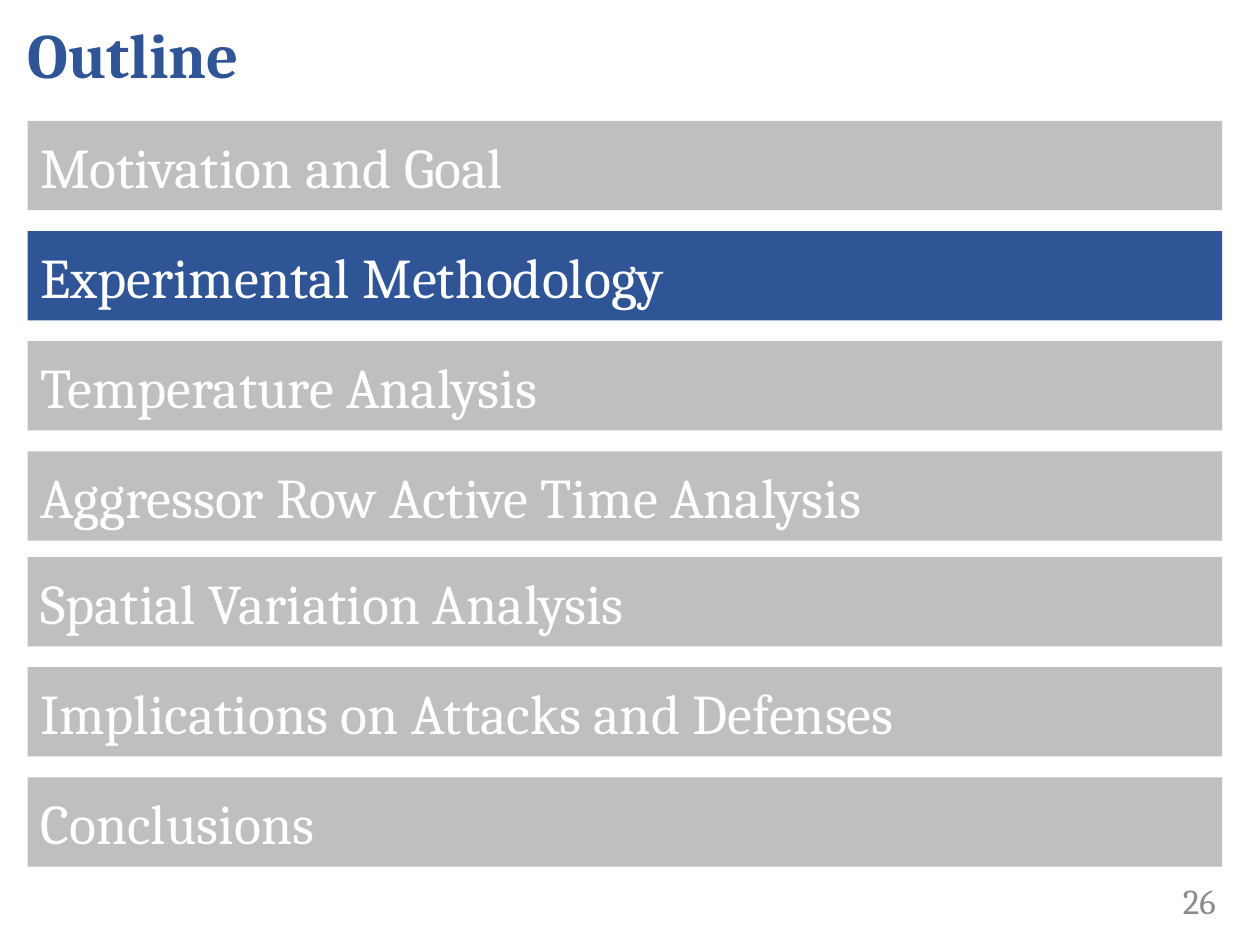
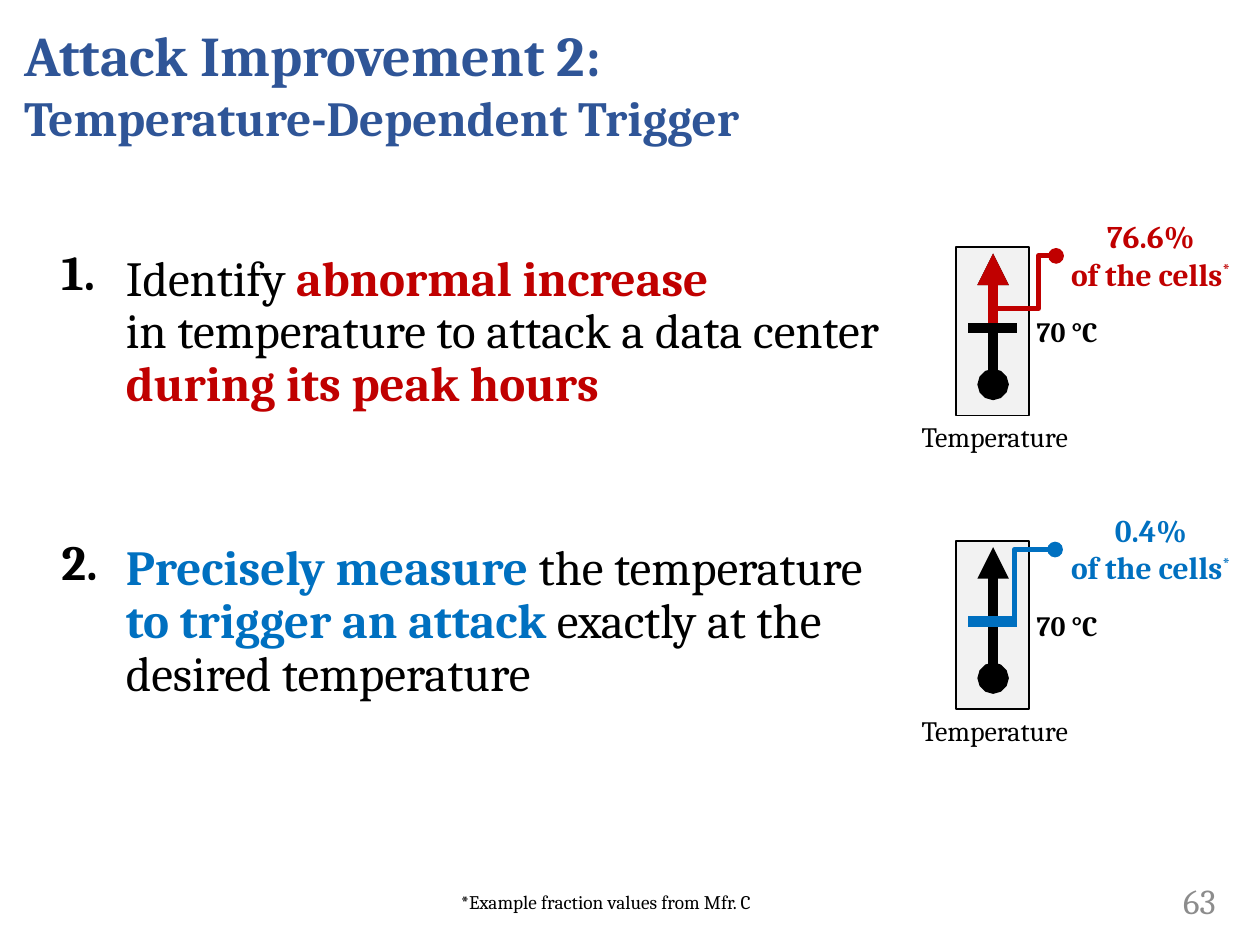
import pptx
import pptx.dml.color
import pptx.enum.shapes
import pptx.enum.text
import pptx.oxml
import pptx.oxml.ns
import pptx.util

Cm = pptx.util.Cm
Pt = pptx.util.Pt
ANCHOR = pptx.enum.text.MSO_ANCHOR
ALIGN = pptx.enum.text.PP_ALIGN

FONT = "Cambria"
NAVY, RED, BLUE = "2F5597", "C00000", "0070C0"
BLACK, WHITE = "000000", "FFFFFF"
BAR_GREY, GAUGE_GREY, NUMBER_GREY = "BFBFBF", "F2F2F2", "8C8C8C"


def colour(hex_text):
    return pptx.dml.color.RGBColor.from_string(hex_text)


def drawing_element(tag, **values):
    element = pptx.oxml.parse_xml(f"<a:{tag} {pptx.oxml.ns.nsdecls('a')}/>")
    for name, value in values.items():
        element.set(name, value)
    return element


def apply_format(target, values):
    for name, value in values.items():
        setattr(target, name, value)


class DeckBuilder:
    """Holds the deck, its style and the page being filled; lengths are in cm."""

    def __init__(self):
        self.deck = pptx.Presentation()
        self.deck.slide_width, self.deck.slide_height = Cm(25.4), Cm(19.05)
        self.page = None

    def new_page(self, number):
        self.page = self.deck.slides.add_slide(self.deck.slide_layouts[5])
        self.text((22.02, 17.65, 2.74, 1.02), [[(str(number), {"color": NUMBER_GREY})]],
                  size=20, align=ALIGN.RIGHT, anchor=ANCHOR.MIDDLE)

    def fill_frame(self, frame, paragraphs, size, color=BLACK, bold=False,
                   align=ALIGN.LEFT, anchor=ANCHOR.TOP, wrap=True, spacing=1.0):
        """Fill a frame; each paragraph is a list of (text, changes) spans."""
        apply_format(frame, {"auto_size": pptx.enum.text.MSO_AUTO_SIZE.NONE,
                             "word_wrap": wrap, "vertical_anchor": anchor})
        for index, spans in enumerate(paragraphs):
            para = frame.add_paragraph() if index else frame.paragraphs[0]
            apply_format(para, {"alignment": align, "line_spacing": spacing,
                                "space_before": Pt(0)})
            for words, changes in spans:
                style = {"size": size, "color": color, "bold": bold, **changes}
                for line_number, line in enumerate(words.split("\n")):
                    if line_number:
                        para.add_line_break()
                    if line:
                        self.span(para, line, style)

    def span(self, para, words, style):
        span = para.add_run()
        span.text = words
        apply_format(span.font, {"name": FONT, "size": Pt(style["size"]),
                                 "bold": style["bold"]})
        span.font.color.rgb = colour(style["color"])
        if "baseline" in style:
            span.font._element.set("baseline", style["baseline"])

    def title(self, place, spans):
        box = self.page.shapes.title
        names = ("left", "top", "width", "height")
        apply_format(box, dict(zip(names, map(Cm, place))))
        self.fill_frame(box.text_frame, [spans], size=36, color=NAVY, bold=True,
                        anchor=ANCHOR.MIDDLE)

    def text(self, place, paragraphs, **style):
        box = self.page.shapes.add_textbox(*map(Cm, place))
        self.fill_frame(box.text_frame, paragraphs, **style)

    def rectangle(self, place, fill, outline=None):
        box = self.page.shapes.add_shape(
            pptx.enum.shapes.MSO_SHAPE.RECTANGLE, *map(Cm, place))
        box.shadow.inherit = False
        box.fill.solid()
        box.fill.fore_color.rgb = colour(fill)
        if outline:
            box.line.color.rgb = colour(outline)
            box.line.width = Pt(1)
        else:
            box.line.fill.background()
        return box

    def bar(self, place, words, fill):
        box = self.rectangle(place, fill)
        self.fill_frame(box.text_frame, [[(words, {})]], size=32, color=WHITE,
                        anchor=ANCHOR.MIDDLE)

    def line(self, start, end, color, width, head=None, tail=None, bend=None):
        """Draw a line, or an elbow that turns at the given share of its width."""
        kinds = pptx.enum.shapes.MSO_CONNECTOR
        kind = kinds.STRAIGHT if bend is None else kinds.ELBOW
        connector = self.page.shapes.add_connector(kind, *map(Cm, start + end))
        connector.line.color.rgb = colour(color)
        connector.line.width = Pt(width)
        outline = connector.line._get_or_add_ln()
        for tag, ending in (("headEnd", head), ("tailEnd", tail)):
            if ending:
                outline.append(drawing_element(tag, type=ending))
        properties = connector._element.spPr
        properties.append(drawing_element("effectLst"))
        if bend is not None:
            guides = properties.find(pptx.oxml.ns.qn("a:prstGeom")).get_or_add_avLst()
            guides.append(drawing_element("gd", name="adj1",
                                          fmla=f"val {round(bend * 100000)}"))

    def gauge(self, top, share, color):
        """Draw a thermometer with its 70 °C label and the share of cells."""
        middle = 20.02
        self.rectangle((19.28, top, 1.47, 3.4), GAUGE_GREY, outline=BLACK)
        self.line((middle, top + 2.77), (middle, top + 0.13), BLACK, 6,
                  head="oval", tail="triangle")
        self.text((17.96, top + 3.35, 4.19, 0.94), [[("Temperature", {})]],
                  size=16, align=ALIGN.CENTER)
        self.text((20.65, top + 1.24, 1.88, 0.94), [[("70 °C", {})]],
                  size=16, bold=True, wrap=False)
        self.text((21.27, top - 0.73, 3.86, 1.8),
                  [[(share, {})], [("of the cells", {}), ("*", {"baseline": "30000"})]],
                  size=18, color=color, bold=True, align=ALIGN.CENTER)

    def gauge_mark(self, top, color):
        self.line((20.5, top + 1.63), (19.51, top + 1.63), color, 6)


def outline_page(builder):
    builder.new_page(26)
    builder.title((0.3, 0, 24.66, 2.13), [("Outline", {})])
    current = "Experimental Methodology"
    blocks = (
        (2.44, ("Motivation and Goal", current, "Temperature Analysis",
                "Aggressor Row Active Time Analysis")),
        (11.23, ("Spatial Variation Analysis", "Implications on Attacks and Defenses",
                 "Conclusions")),
    )
    for first_top, topics in blocks:
        for index, topic in enumerate(topics):
            builder.bar((0.56, first_top + 2.22 * index, 24.08, 1.8), topic,
                        NAVY if topic == current else BAR_GREY)


def trigger_page(builder):
    builder.new_page(63)
    builder.title((0.23, 0.61, 24.43, 2.13),
                  [("Attack Improvement 2:\n", {"size": 32}),
                   ("Temperature-Dependent Trigger", {"size": 28})])
    red, blue = ({"color": shade, "bold": True} for shade in (RED, BLUE))
    ideas = (
        [("Identify ", {}), ("abnormal increase\n", red),
         ("in temperature to attack a data center ", {}),
         ("during its peak hours", red)],
        [("Precisely measure ", blue), ("the temperature\n", {}),
         ("to trigger an attack ", blue), ("exactly at the desired temperature", {})],
    )
    for index, spans in enumerate(ideas):
        top = 4.75 + 5.84 * index
        builder.text((0.99, top, 1.35, 1.45), [[(f"{index + 1}.", {})]],
                     size=28, bold=True, wrap=False)
        builder.text((2.29, top + 0.24, 16.8, 3.6), [spans], size=28, spacing=0.9)

    rise_top, exact_top = 4.98, 10.9
    builder.gauge(rise_top, "76.6%", RED)
    builder.line((20.02, rise_top + 1.6), (20.02, rise_top + 0.13), RED, 6,
                 tail="triangle")
    builder.line((20.02, rise_top + 1.24), (21.29, rise_top + 0.18), RED, 3,
                 tail="oval", bend=0.72)
    builder.gauge_mark(rise_top, BLACK)

    builder.gauge(exact_top, "0.4%", BLUE)
    builder.line((20.45, exact_top + 1.63), (21.27, exact_top + 0.18), BLUE, 3,
                 tail="oval", bend=0)
    builder.gauge_mark(exact_top, BLACK)
    builder.gauge_mark(exact_top, BLUE)
    builder.text((9.04, 17.83, 6.81, 0.74),
                 [[("*Example fraction values from Mfr. C", {})]], size=11)


def main():
    builder = DeckBuilder()
    outline_page(builder)
    trigger_page(builder)
    builder.deck.save("out.pptx")


if __name__ == "__main__":
    main()
